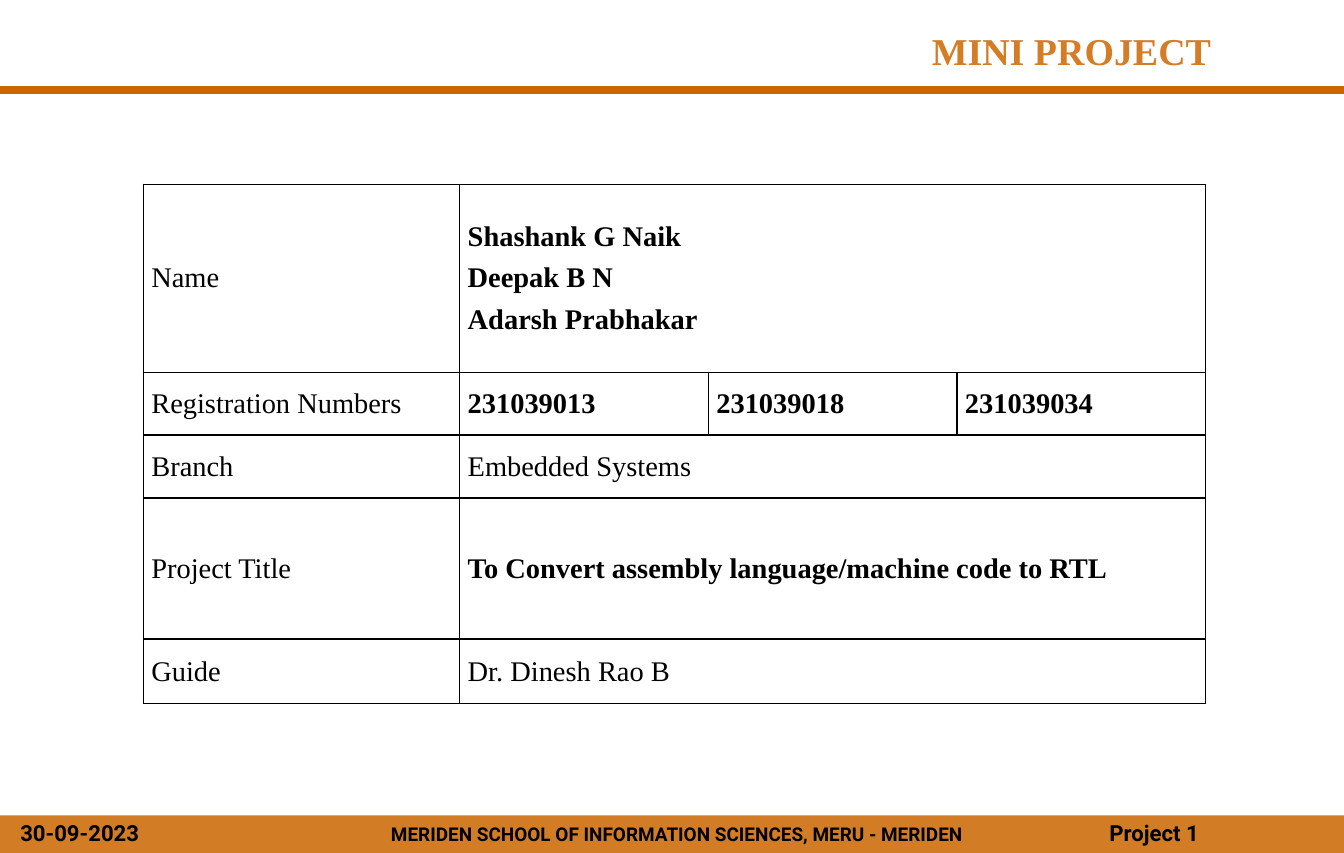
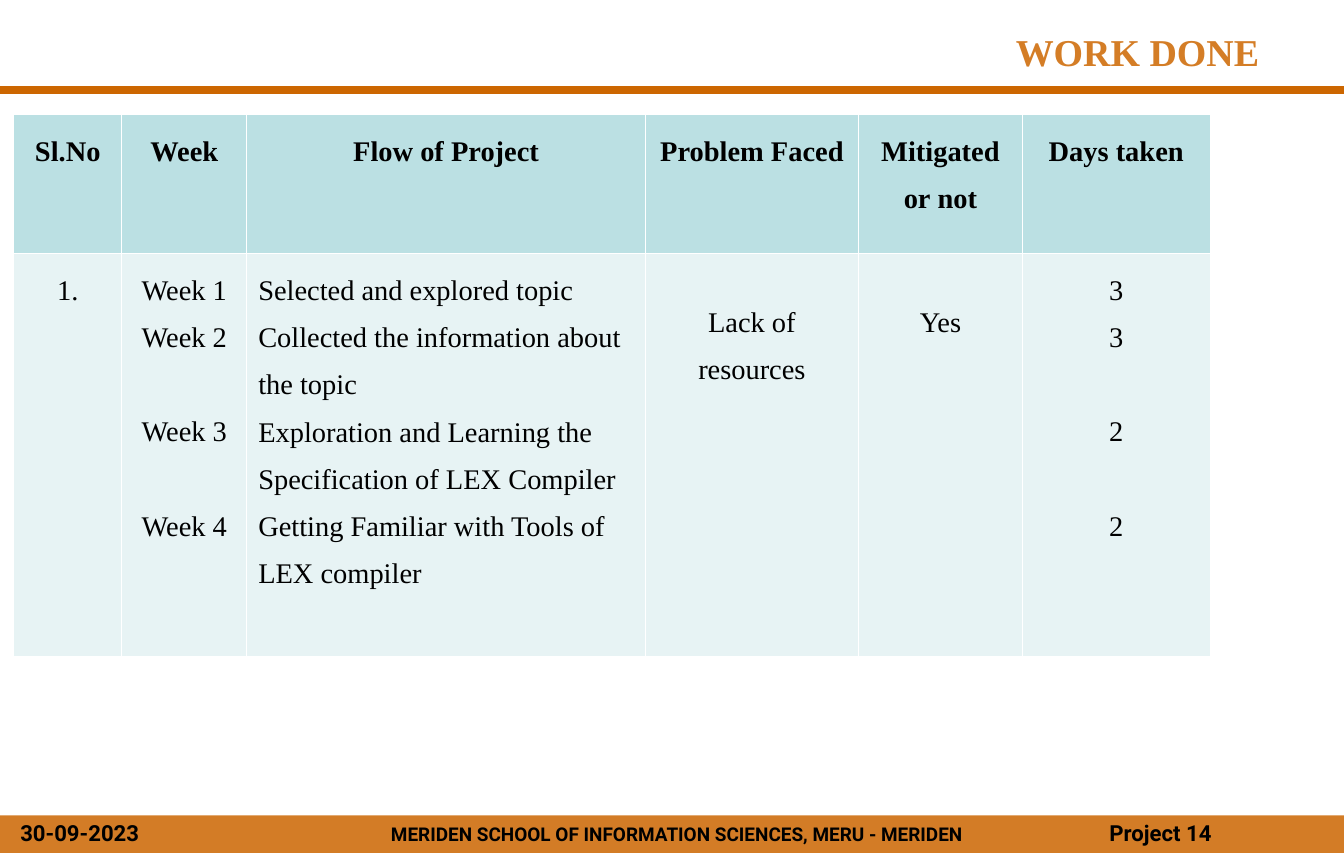
from lxml import etree
from pptx import Presentation
from pptx.dml.color import RGBColor
from pptx.enum import shapes, text
from pptx.oxml import ns
from pptx.util import Cm, Inches, Pt

LEFT, CENTER, RIGHT = text.PP_ALIGN.LEFT, text.PP_ALIGN.CENTER, text.PP_ALIGN.RIGHT


def color(value):
    return RGBColor.from_string(value)


def add_xml(parent, tag, **attributes):
    return etree.SubElement(parent, ns.qn(tag), attributes)


class Slides:
    """Shared style and the current page; places are percent of the slide's size."""

    ORANGE, TITLE, BLACK, WHITE = "CC6600", "D47D26", "000000", "FFFFFF"
    HEADER, BODY = "BBE0E3", "E7F3F4"
    SERIF, SANS = "Times New Roman", "Roboto"
    SCHOOL = "MERIDEN SCHOOL OF INFORMATION SCIENCES, MERU - MERIDEN"
    DATE = "30-09-2023"

    def __init__(self):
        self.deck = Presentation()
        self.deck.slide_width, self.deck.slide_height = Cm(30), Cm(19.05)
        self.page = None

    def across(self, percent):
        return round(self.deck.slide_width * percent / 100)

    def down(self, percent):
        return round(self.deck.slide_height * percent / 100)

    def place(self, left, top, width, height):
        return self.across(left), self.down(top), self.across(width), self.down(height)

    # Page frame: rule, band, footer and title
    def add_page(self, title, number, title_area, align):
        self.page = self.deck.slides.add_slide(self.deck.slide_layouts[6])
        self.rule(10.55)
        self.band(95.58, 4.42)
        self.label(self.SCHOOL, (24.13, 95.8, 52.5, 4.13), 12, CENTER)
        self.label(self.DATE, (0.68, 95.45, 11.26, 4.53), 14)
        self.label(f"Project {number}", (81.71, 95.45, 18.2, 4.53), 14)
        self.label(title, title_area, 24, align, self.SERIF, self.TITLE)

    def rule(self, top):
        line = self.page.shapes.add_connector(
            shapes.MSO_CONNECTOR.STRAIGHT, 0, self.down(top), self.across(100), self.down(top))
        line.line.color.rgb = color(self.ORANGE)
        line.line.width = Pt(4.5)
        add_xml(line._element.spPr, "a:effectLst")

    def band(self, top, height):
        band = self.page.shapes.add_shape(
            shapes.MSO_SHAPE.RECTANGLE, *self.place(0, top, 100, height))
        band.shadow.inherit = False
        band.fill.solid()
        band.fill.fore_color.rgb = color(self.ORANGE)
        band.line.fill.background()
        tint = band._element.spPr.find(ns.qn("a:solidFill"))[0]
        add_xml(tint, "a:alpha", val="85000")

    # Text
    def label(self, words, area, size, align=LEFT, font=SANS, ink=BLACK):
        box = self.page.shapes.add_textbox(*self.place(*area))
        box.text_frame.word_wrap = True
        para = box.text_frame.paragraphs[0]
        para.alignment = align
        self.span(para, words, size, font, ink, True)

    def span(self, para, words, size, font, ink, bold):
        span = para.add_run()
        span.text = words
        span.font.size, span.font.name, span.font.bold = Pt(size), font, bold
        span.font.color.rgb = color(ink)

    # Tables
    def table(self, left, top, widths, heights):
        frame = self.page.shapes.add_table(
            len(heights), len(widths), *self.place(left, top, sum(widths), sum(heights)))
        table = frame.table
        table.first_row = table.horz_banding = False
        for column, width in zip(table.columns, widths):
            column.width = self.across(width)
        for row, height in zip(table.rows, heights):
            row.height = self.down(height)
        return table

    def cell_frame(self, cell, ink, width, fill=None):
        for side in ("a:lnL", "a:lnR", "a:lnT", "a:lnB"):
            edge = add_xml(cell._tc.get_or_add_tcPr(), side, w=str(Pt(width)))
            add_xml(add_xml(edge, "a:solidFill"), "a:srgbClr", val=ink)
        if fill:
            cell.fill.solid()
            cell.fill.fore_color.rgb = color(fill)
        else:
            cell.fill.background()

    def cell_text(self, cell, lines, bold, align=LEFT, spacing=None, around=None):
        """An empty entry in lines leaves one line of space above the next."""
        if not lines[0]:
            cell.margin_top = Inches(0.33)
            lines = lines[1:]
        gap, first = around, True
        for words in lines:
            if not words:
                gap = 29.8
                continue
            para = cell.text_frame.paragraphs[0] if first else cell.text_frame.add_paragraph()
            para.alignment = align
            if spacing:
                para.line_spacing = spacing
            if gap:
                para.space_before = Pt(gap)
            if around:
                para.space_after = Pt(around)
            self.span(para, words, 18, self.SERIF, self.BLACK, bold)
            gap, first = around, False

    def form(self, left, top, widths, heights, rows):
        """Rows of label, bold flag and entries; a lone entry spans the row."""
        table = self.table(left, top, widths, heights)
        for r, (name, bold, entries) in enumerate(rows):
            for cell in table.rows[r].cells:
                self.cell_frame(cell, self.BLACK, 1)
                cell.vertical_anchor = text.MSO_ANCHOR.MIDDLE
                cell.margin_left = cell.margin_right = Inches(0.07)
                cell.margin_top = cell.margin_bottom = 0
            if len(entries) == 1:
                table.cell(r, 1).merge(table.cell(r, len(widths) - 1))
            self.cell_text(table.cell(r, 0), [name], False, around=3.1)
            for c, lines in enumerate(entries, 1):
                self.cell_text(table.cell(r, c), lines, bold, around=3.1)

    def log(self, left, top, heights, columns):
        """Columns of width, heading, body alignment and body lines."""
        table = self.table(left, top, [column[0] for column in columns], heights)
        for c, (_, heading, align, lines) in enumerate(columns):
            head, body = table.cell(0, c), table.cell(1, c)
            self.cell_frame(head, self.WHITE, 0.64, self.HEADER)
            self.cell_frame(body, self.WHITE, 0.64, self.BODY)
            self.cell_text(head, [heading], True, CENTER, 1.5)
            self.cell_text(body, lines, False, align, 1.5)


slides = Slides()

# Project details
slides.add_page("MINI PROJECT", 1, (23.2, 2.53, 67.74, 6.8), RIGHT)
slides.form(10.67, 21.6, [23.54] + [18.5] * 3, [22.05, 7.36, 7.36, 16.55, 7.6], [
    ("Name", True, [["Shashank G Naik", "Deepak B N", "Adarsh Prabhakar"]]),
    ("Registration Numbers", True, [["231039013"], ["231039018"], ["231039034"]]),
    ("Branch", False, [["Embedded Systems "]]),
    ("Project Title", True, [["To Convert assembly language/machine code to RTL "]]),
    ("Guide", False, [["Dr. Dinesh Rao B"]]),
])

# Work log
slides.add_page("WORK DONE", 14, (68, 2.7, 33.28, 6.7), CENTER)
slides.log(1.02, 13.47, [16.27, 47.2], [
    (8.04, "Sl.No", CENTER, ["1."]),
    (9.31, "Week", CENTER, ["Week 1", "Week 2", "", "Week 3", "", "Week 4"]),
    (29.65, "Flow of Project", LEFT, [
        "Selected and explored topic",
        "Collected the information about ",
        "the topic",
        "Exploration and Learning the Specification of LEX Compiler ",
        "Getting Familiar with Tools of LEX compiler",
    ]),
    (15.86, "Problem\u00a0Faced", CENTER, ["", "Lack of resources"]),
    (12.19, "Mitigated or\u00a0not", CENTER, ["", "Yes"]),
    (13.97, "Days taken", CENTER, ["3", "3", "", "2", "", "2"]),
])

slides.deck.save("out.pptx")
